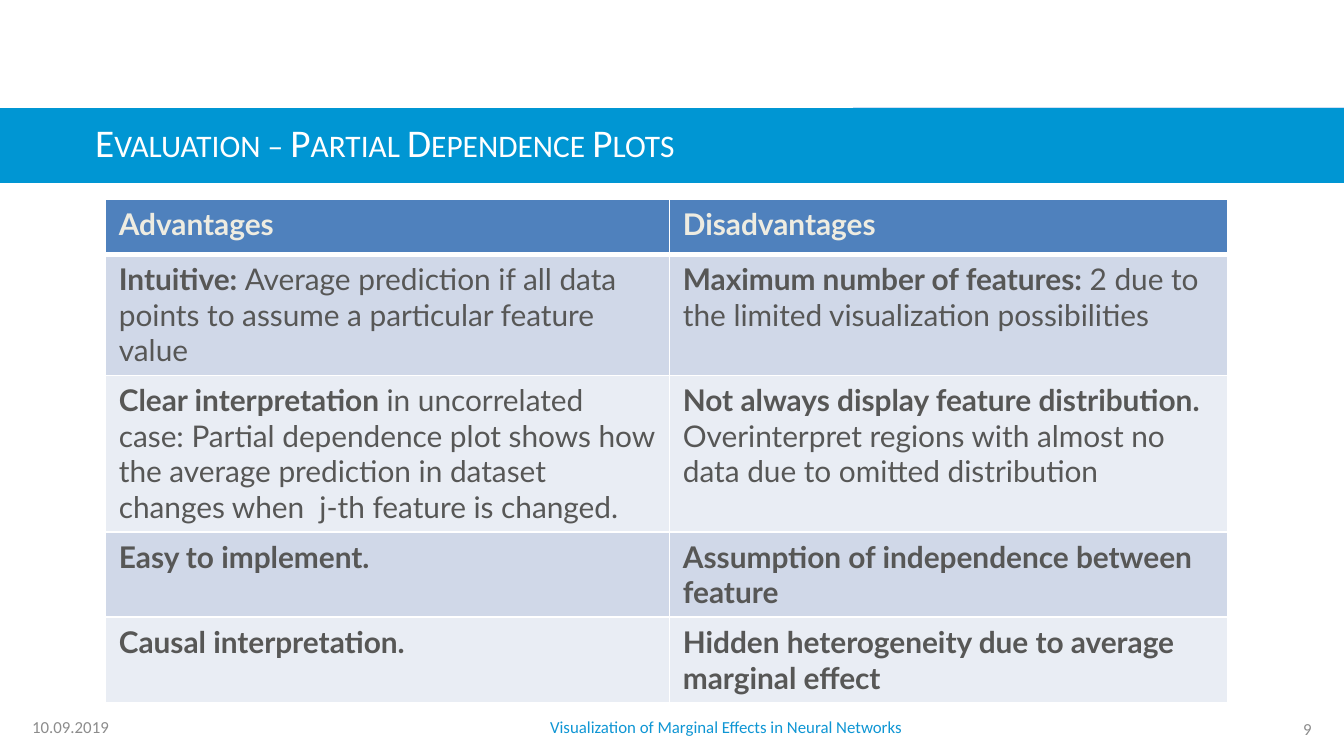
from lxml.etree import SubElement
from pptx import Presentation
from pptx.dml.color import RGBColor
from pptx.enum.text import MSO_ANCHOR, PP_ALIGN
from pptx.oxml.ns import qn
from pptx.util import Pt

COLORS = {
    "white": "FFFFFF", "band": "0096D3", "strip": "CFDFF4", "footer": "0F96D4",
    "grey": "8C8C8C", "head": "4F81BD", "head_text": "EEECE1", "body": "575756",
    "dark_row": "D0D8E8", "light_row": "E9EDF4",
}
ROWS = [
    # height, then one (bold part, plain part) pair for each column
    (29.4, ("Advantages", ""), ("Disadvantages", "")),
    (64.2, ("Intuitive: ", "Average prediction if all data points to assume "
            "a particular feature value"),
     ("Maximum number of features: ",
      "2 due to the limited visualization possibilities")),
    (83.6, ("Clear interpretation ", "in uncorrelated case: Partial dependence plot "
            "shows how the average prediction in dataset changes when  j-th feature "
            "is changed."),
     ("Not always display feature distribution.",
      " Overinterpret regions with almost no data due to omitted distribution")),
    (45.4, ("Easy to implement.", ""),
     ("Assumption of independence between feature", "")),
    (45.4, ("Causal interpretation. ", ""),
     ("Hidden heterogeneity due to average marginal effect", "")),
]


def rgb(name):
    """Return the named colour."""
    return RGBColor.from_string(COLORS[name])


def add_span(para, text, color, **formats):
    """Add a run with the given font values."""
    span = para.add_run()
    span.text = text
    span.font.color.rgb = rgb(color)
    for key, value in formats.items():
        setattr(span.font, key, value)
    return span


def add_label(page, box, text, color, size, align=PP_ALIGN.LEFT):
    """Place one line of text without margins in the box."""
    frame = page.shapes.add_textbox(*map(Pt, box)).text_frame
    formats = {"word_wrap": True, "margin_left": 0, "margin_right": 0,
               "margin_top": 0, "margin_bottom": 0, "vertical_anchor": MSO_ANCHOR.TOP}
    for key, value in formats.items():
        setattr(frame, key, value)
    para = frame.paragraphs[0]
    para.alignment = align
    return add_span(para, text, color, size=Pt(size), name="Calibri")


def add_block(page, box, color):
    """Draw a plain filled outline over the box."""
    left, top, width, height = box
    right, bottom = left + width, top + height
    builder = page.shapes.build_freeform(Pt(left), Pt(bottom))
    corners = [(right, bottom), (right, top), (left, top)]
    builder.add_line_segments([(Pt(x), Pt(y)) for x, y in corners], close=True)
    block = builder.convert_to_shape()
    block.shadow.inherit = False
    block.fill.solid()
    block.fill.fore_color.rgb = rgb(color)
    block.line.fill.background()


def add_header(page, box):
    """Draw the title band with its light strip and title."""
    left, top, width, height = box
    add_block(page, (left + 457, top - 0.6, width - 457, 1.4), "strip")
    add_block(page, box, "band")
    title = add_label(page, (left + 51, top + 5.4, 600, 25.2),
                      "Evaluation – Partial Dependence Plots", "white", 21)
    title.font._element.set("cap", "small")


def add_footer(page, box):
    """Place date, talk title and page number along the box."""
    left, top, width, height = box
    add_label(page, (left, top, 81, height), "10.09.2019", "grey", 9)
    add_label(page, (left + width - 48, top + 1.2, 48, height), "9", "grey", 9,
              PP_ALIGN.RIGHT)
    add_label(page, (left + 133.2, top, 476.6, height),
              "Visualization of Marginal Effects in Neural Networks", "footer", 9,
              PP_ALIGN.CENTER)


def set_borders(cell, top, bottom):
    """Give the cell white borders, one point wide at the sides."""
    props = cell._tc.get_or_add_tcPr()
    for index, (side, width) in enumerate(
            {"lnL": 1, "lnR": 1, "lnT": top, "lnB": bottom}.items()):
        line = SubElement(props, qn("a:" + side), w=str(Pt(width)))
        fill = SubElement(line, qn("a:solidFill"))
        SubElement(fill, qn("a:srgbClr"), val=COLORS["white"])
        props.insert(index, line)


def add_comparison(page, box, rows):
    """Build the table of advantages and disadvantages."""
    left, top, width, height = box
    table = page.shapes.add_table(len(rows), 2, *map(Pt, box)).table
    table.columns[0].width = Pt(302.2)
    table.columns[1].width = Pt(width - 302.2)
    for number, (row_height, *texts) in enumerate(rows):
        table.rows[number].height = Pt(row_height)
        shade = "head" if number == 0 else ("light_row", "dark_row")[number % 2]
        color = "body" if number else "head_text"
        for column, parts in enumerate(texts):
            cell = table.cell(number, column)
            cell.fill.solid()
            cell.fill.fore_color.rgb = rgb(shade)
            set_borders(cell, 3 if number == 1 else 1, 3 if number == 0 else 1)
            para = cell.text_frame.paragraphs[0]
            for text, bold in zip(parts, (True, False)):
                if text:
                    add_span(para, text, color, size=Pt(16), name="Lato", bold=bold)


def main():
    """Build and save the deck."""
    deck = Presentation()
    deck.slide_width, deck.slide_height = Pt(720), Pt(405)
    page = deck.slides.add_slide(deck.slide_layouts[6])
    add_header(page, (0, 58, 720, 40))
    add_footer(page, (17.3, 383.8, 685.4, 11.5))
    add_comparison(page, (56.5, 106.9, 601.2, 268), ROWS)
    deck.save("out.pptx")


main()
